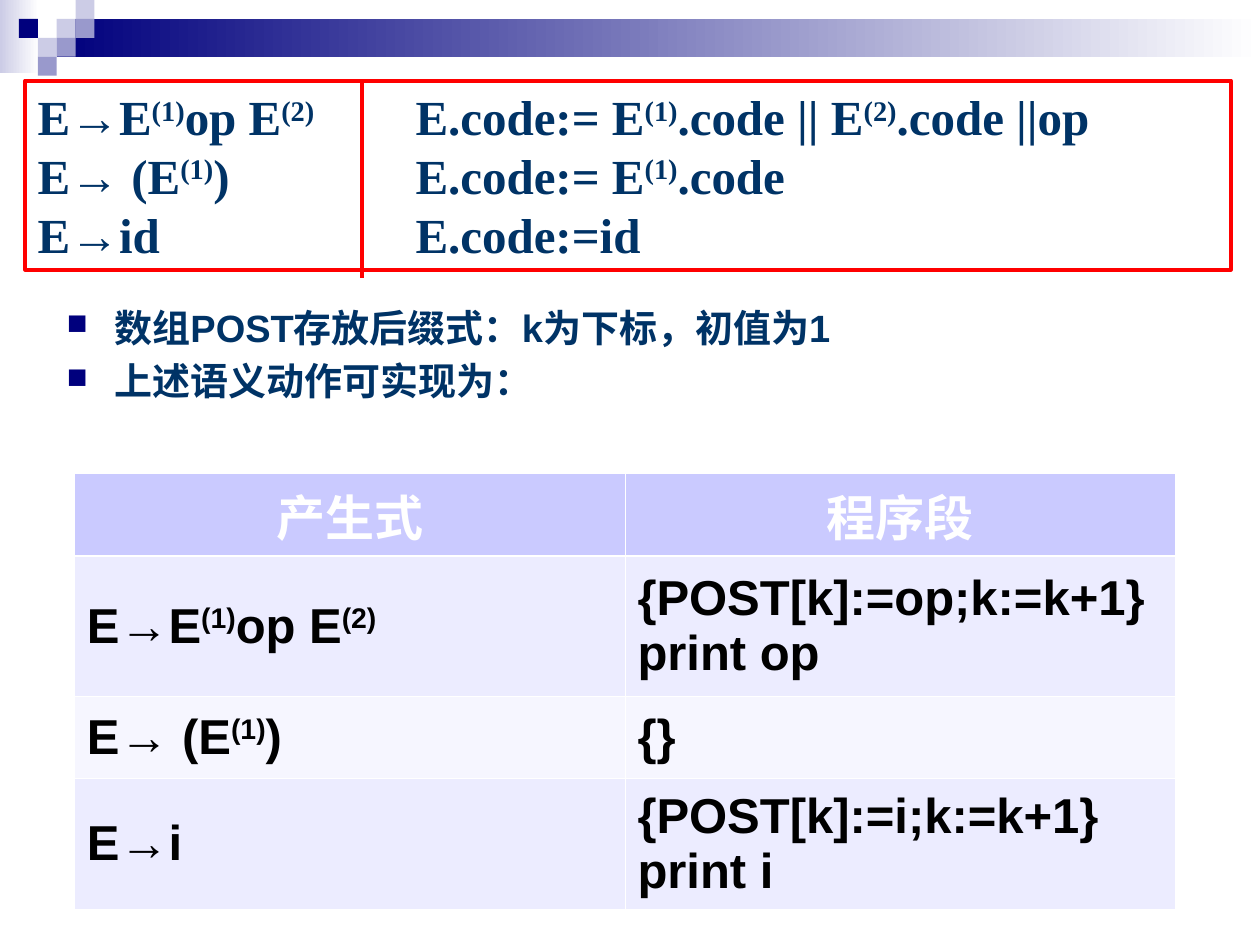
from lxml import etree
from pptx import Presentation
from pptx.dml.color import RGBColor
from pptx.enum.shapes import MSO_CONNECTOR, MSO_SHAPE
from pptx.enum.text import MSO_ANCHOR, PP_ALIGN
from pptx.oxml.ns import qn
from pptx.util import Inches, Pt

RECT, LINE = MSO_SHAPE.RECTANGLE, MSO_CONNECTOR.STRAIGHT
LEFT, CENTER = PP_ALIGN.LEFT, PP_ALIGN.CENTER
TOP, MIDDLE = MSO_ANCHOR.TOP, MSO_ANCHOR.MIDDLE

# Content: text between ^ marks is superscript
RULES = [
    "E→E^(1)^op E^(2)^\tE.code:= E^(1)^.code || E^(2)^.code ||op",
    "E→ (E^(1)^)\tE.code:= E^(1)^.code",
    "E→id\tE.code:=id",
]
POINTS = ["数组POST存放后缀式：k为下标，初值为1", "上述语义动作可实现为："]
ROWS = [
    ("产生式", "程序段"),
    ("E→E^(1)^op E^(2)^", "{POST[k]:=op;k:=k+1} print op"),
    ("E→ (E^(1)^)", "{}"),
    ("E→i", "{POST[k]:=i;k:=k+1} print i"),
]
HEIGHTS = [0.65, 1.12, 0.65, 1.03]
WIDTH = 4.37

THEME = {
    "navy": "00007D", "mid": "9999CC", "pale": "CCCCE6", "white": "FFFFFF",
    "red": "FF0000",
    "rows": ["CACAFF", "ECECFF", "F6F6FF", "ECECFF"],
    "rule": {"size": 28, "name": "Times New Roman", "color": "003366"},
    "point": {"size": 21.7, "name": "Arial", "color": "003366"},
    "head": {"size": 28, "name": "Arial", "color": "FFFFFF"},
    "cell": {"size": 28, "name": "Arial", "color": "000000"},
}

# Corner squares: column, row, colour on a square grid
STEP = 0.15
SQUARES = [
    (3, 1, "pale"), (4, 0, "pale"), (4, 1, "mid"), (2, 2, "pale"),
    (1, 1, "navy"), (3, 2, "mid"), (2, 3, "mid"),
]
# Gradient bands: place and starting colour
BANDS = [((0, 0, 0.31, 0.58), "pale"), ((0.45, 0.15, 9.55, 0.3), "navy")]


def rgb(code):
    return RGBColor.from_string(code)


def add_rect(slide, place):
    shape = slide.shapes.add_shape(RECT, *map(Inches, place))
    shape.shadow.inherit = False
    shape.line.fill.background()
    return shape


def add_node(parent, tag, **attrs):
    node = etree.SubElement(parent, qn(tag))
    for key, val in attrs.items():
        node.set(key, str(val))
    return node


def write(para, text, style, align=LEFT):
    para.alignment = align
    for i, part in enumerate(text.split("^")):
        if not part:
            continue
        run = para.add_run()
        run.text = part
        form = {"size": Pt(style["size"]), "name": style["name"], "bold": True}
        for key, val in form.items():
            setattr(run.font, key, val)
        run.font.color.rgb = rgb(style["color"])
        if i % 2:
            run._r.get_or_add_rPr().set("baseline", "30000")


def add_paras(frame, texts):
    frame.word_wrap = True
    frame.vertical_anchor = TOP
    for i, text in enumerate(texts):
        yield (frame.add_paragraph() if i else frame.paragraphs[0]), text


def set_edges(cell, row):
    props = cell._tc.get_or_add_tcPr()
    # The edge below the header is heavier
    heavy = {0: "a:lnB", 1: "a:lnT"}.get(row)
    for i, tag in enumerate(("a:lnL", "a:lnR", "a:lnT", "a:lnB")):
        edge = etree.Element(qn(tag))
        edge.set("w", str(Pt(1.47 if tag == heavy else 0.45)))
        add_node(add_node(edge, "a:solidFill"), "a:srgbClr", val=THEME["white"])
        props.insert(i, edge)


def add_header(slide):
    for place, name in BANDS:
        fill = add_rect(slide, place).fill
        fill.gradient()
        fill.gradient_angle = 0
        for stop, code in zip(fill.gradient_stops, (THEME[name], THEME["white"])):
            stop.color.rgb = rgb(code)
    for col, row, name in SQUARES:
        fill = add_rect(slide, (col * STEP, row * STEP, STEP, STEP)).fill
        fill.solid()
        fill.fore_color.rgb = rgb(THEME[name])


def add_points(slide):
    box = slide.shapes.add_textbox(*map(Inches, (0.43, 2.41, 9.25, 1.26)))
    for i, (para, text) in enumerate(add_paras(box.text_frame, POINTS)):
        props = para._p.get_or_add_pPr()
        props.set("marL", str(Inches(0.38)))
        props.set("indent", str(-Inches(0.38)))
        add_node(add_node(props, "a:buClr"), "a:srgbClr", val=THEME["navy"])
        add_node(props, "a:buSzPct", val=75000)
        add_node(props, "a:buChar", char="■")
        para.line_spacing = 0.9
        para.space_before = Pt(7 if i else 0)
        write(para, text, THEME["point"])


def add_rules(slide):
    box = add_rect(slide, (0.2, 0.64, 9.57, 1.5))
    box.fill.background()
    split = slide.shapes.add_connector(
        LINE, *map(Inches, (2.87, 0.64, 2.87, 2.21)))
    add_node(split._element.spPr, "a:effectLst")
    for item in (box, split):
        item.line.color.rgb = rgb(THEME["red"])
        item.line.width = Pt(2.25)
    for para, text in add_paras(box.text_frame, RULES):
        tabs = add_node(para._p.get_or_add_pPr(), "a:tabLst")
        add_node(tabs, "a:tab", pos=Inches(3), algn="l")
        write(para, text, THEME["rule"])


def add_grid(slide):
    place = (0.59, 3.76, 2 * WIDTH, sum(HEIGHTS))
    table = slide.shapes.add_table(len(ROWS), 2, *map(Inches, place)).table
    for col in table.columns:
        col.width = Inches(WIDTH)
    for r, texts in enumerate(ROWS):
        table.rows[r].height = Inches(HEIGHTS[r])
        style, align = ("cell", LEFT) if r else ("head", CENTER)
        for c, text in enumerate(texts):
            cell = table.cell(r, c)
            cell.vertical_anchor = MIDDLE
            cell.fill.solid()
            cell.fill.fore_color.rgb = rgb(THEME["rows"][r])
            set_edges(cell, r)
            write(cell.text_frame.paragraphs[0], text, THEME[style], align)


def main():
    deck = Presentation()
    deck.slide_width, deck.slide_height = Inches(10), Inches(7.5)
    slide = deck.slides.add_slide(deck.slide_layouts[6])
    for part in (add_header, add_points, add_rules, add_grid):
        part(slide)
    deck.save("out.pptx")


if __name__ == "__main__":
    main()
